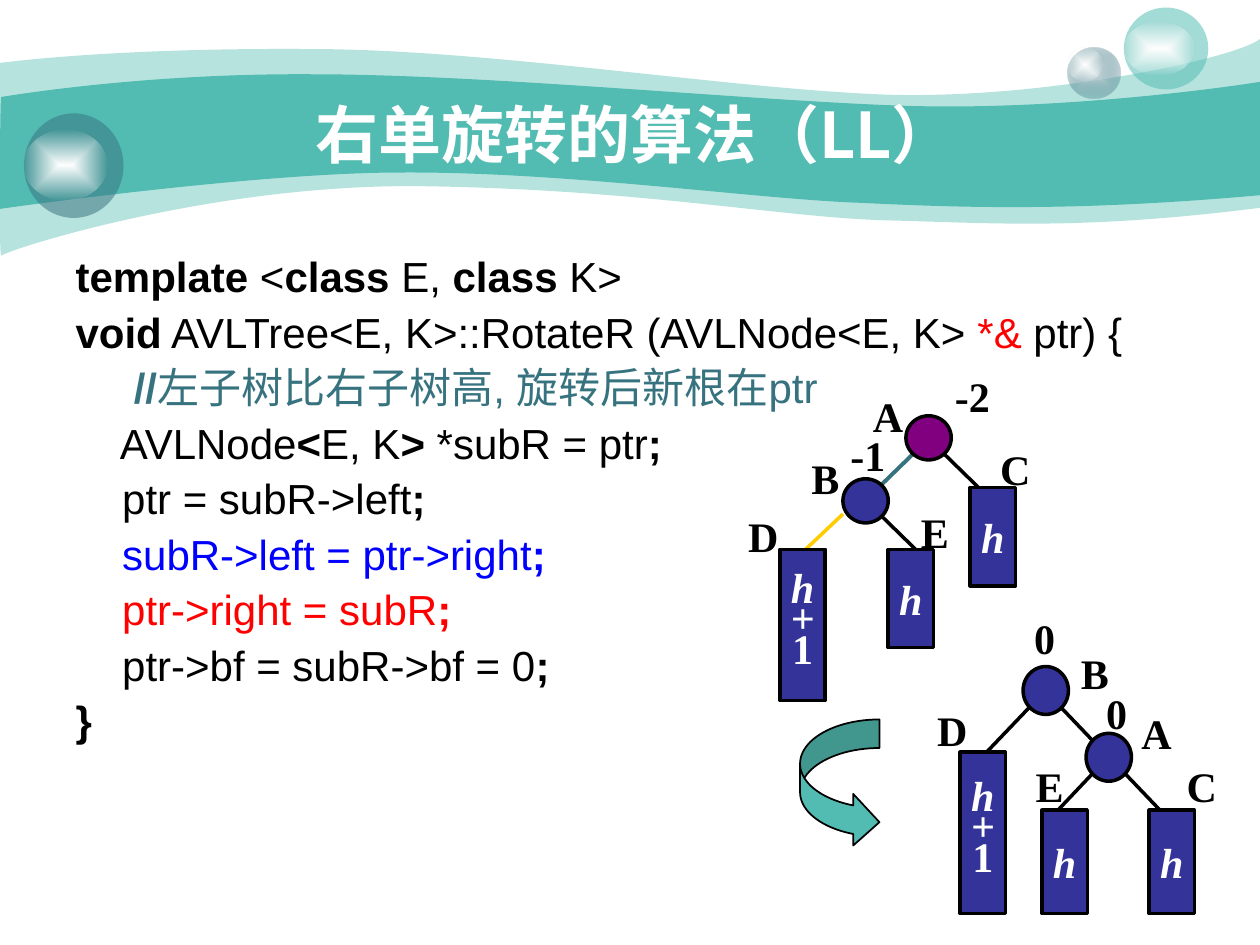
"""Builds the slide on the right single rotation (LL) of an AVL tree."""
from lxml import etree
from pptx import Presentation
from pptx.dml.color import RGBColor
from pptx.enum.shapes import MSO_CONNECTOR, MSO_SHAPE
from pptx.enum.text import MSO_ANCHOR, MSO_AUTO_SIZE, PP_ALIGN
from pptx.oxml import parse_xml
from pptx.oxml.ns import qn
from pptx.util import Cm, Pt

NS = 'xmlns:a="http://schemas.openxmlformats.org/drawingml/2006/main"'
OVAL, RECT, ARROW = MSO_SHAPE.OVAL, MSO_SHAPE.RECTANGLE, MSO_SHAPE.CURVED_RIGHT_ARROW
STRAIGHT = MSO_CONNECTOR.STRAIGHT
CENTER, MIDDLE = PP_ALIGN.CENTER, MSO_ANCHOR.MIDDLE
NO_FIT, GROW = MSO_AUTO_SIZE.NONE, MSO_AUTO_SIZE.SHAPE_TO_FIT_TEXT
SANS, SERIF, CJK = "Arial", "Times New Roman", "Noto Sans CJK SC"
BLACK, WHITE, RED, BLUE = "000000", "FFFFFF", "FF0000", "0000FF"
TEAL, SLATE, NAVY, PURPLE, GOLD = "52BCB2", "37737F", "333399", "800080", "FFCC00"

TITLE = "右单旋转的算法（LL）"
CODE = [
    [("template", BLACK, True), (" <", BLACK, False), ("class", BLACK, True),
     (" E, ", BLACK, False), ("class", BLACK, True), (" K>", BLACK, False)],
    [("void", BLACK, True), (" AVLTree<E, K>::RotateR (AVLNode<E, K> ", BLACK, False),
     ("*&", RED, False), (" ptr) {", BLACK, False)],
    [("     //", SLATE, True), ("左子树比右子树高, 旋转后新根在ptr", SLATE, False)],
    [("    AVLNode", BLACK, False), ("<", BLACK, True), ("E, K", BLACK, False),
     (">", BLACK, True), (" *subR = ptr", BLACK, False), (";", BLACK, True)],
    [("    ptr = subR->left", BLACK, False), (";", BLACK, True)],
    [("    subR->left = ptr->right", BLUE, False), (";", BLUE, True)],
    [("    ptr->right = subR", RED, False), (";", RED, True)],
    [("    ptr->bf = subR->bf = 0", BLACK, False), (";", BLACK, True)],
    [("}", BLACK, True)],
]

WAVES = [
    (41, (0, 0.5), [
        (0.24, 0.47, 1.07, 0.38, 2.47, 0.39), (3.86, 0.39, 5.75, 0.7, 6.99, 0.75),
        (8.22, 0.8, 9.8, 0.47, 10, 0.31), (10, 1.65),
        (8.58, 1.83, 7.87, 1.77, 7.05, 1.75), (6.22, 1.73, 5.15, 1.51, 3.43, 1.48),
        (1.72, 1.44, 0.04, 1.99, 0.01, 2.03), (-0.01, 2.08, 0, 0.75, 0, 0.5)]),
    (100, (0.01, 0.77), [
        (0.02, 0.77, 1.1, 0.58, 2.48, 0.59), (3.86, 0.59, 5.95, 0.8, 7.18, 0.84),
        (8.41, 0.88, 9.76, 0.69, 10, 0.65), (10, 1.55),
        (8.53, 1.68, 7.65, 1.65, 6.82, 1.61), (5.99, 1.58, 4.47, 1.36, 3.17, 1.37),
        (2.03, 1.37, -0.02, 1.66, -0.01, 1.66), (0, 1.66, 0, 0.77, 0.01, 0.77)]),
]
GLOW = [(WHITE, 100), (WHITE, 0)]
BUBBLES = [
    ((8.47, 0.38, 0.42, 0.4), [("CCDBDE", 100), (SLATE, 31)]),
    ((8.47, 0.38, 0.28, 0.27), GLOW),
    ((8.92, 0.06, 0.67, 0.65), [(TEAL, 53)]),
    ((8.92, 0.17, 0.56, 0.43), GLOW),
    ((0.19, 0.9, 0.79, 0.83), [(SLATE, 53)]),
    ((0.19, 1.03, 0.66, 0.56), GLOW),
]

SIDE = 0.36
TREES = [
    dict(node_h=0.35, block_h={"h": 0.78, "h\n+\n1": 1.2},
         labels=[("B", 6.34, 3.54), ("A", 6.83, 3.05), ("C", 7.84, 3.47), ("E", 7.21, 3.97),
                 ("D", 5.84, 4), ("-1", 6.65, 3.36), ("-2", 7.48, 2.89)],
         edges=[(7.48, 3.59, 7.91, 4.01, BLACK, 2), (6.69, 4.08, 6.32, 4.43, GOLD, 2),
                (7.26, 3.59, 6.9, 3.94, SLATE, 2.25), (6.98, 4.08, 7.41, 4.5, BLACK, 2)],
         nodes=[(6.69, 3.8, NAVY), (7.19, 3.3, PURPLE)],
         blocks=[("h", 7.7, 3.87), ("h\n+\n1", 6.19, 4.36), ("h", 7.05, 4.36)]),
    dict(node_h=0.38, block_h={"h": 0.82, "h\n+\n1": 1.28},
         labels=[("C", 9.32, 5.99), ("E", 8.12, 5.99), ("A", 8.96, 5.57), ("B", 8.48, 5.09),
                 ("D", 7.34, 5.54), ("0", 8.68, 5.41), ("0", 8.11, 4.81)],
         edges=[(8.33, 5.52, 8.76, 5.97, BLACK, 2), (8.26, 5.52, 7.83, 5.97, BLACK, 2),
                (8.69, 6.12, 8.33, 6.5, BLACK, 2), (8.91, 6.12, 9.34, 6.57, BLACK, 2)],
         nodes=[(8.62, 5.82, NAVY), (8.12, 5.29, NAVY)],
         blocks=[("h", 8.27, 6.43), ("h", 9.12, 6.43), ("h\n+\n1", 7.62, 5.97)]),
]
LABEL_W = {"A": 0.44, "B": 0.42, "C": 0.44, "D": 0.44, "E": 0.42, "0": 0.36, "-1": 0.48, "-2": 0.48}


def inch(*values):
    return [Cm(v * 2.54) for v in values]


def rgb(value):
    return RGBColor.from_string(value)


def set_font(r, name, size, color, bold=True, italic=False):
    r.font.name, r.font.size = name, Pt(size)
    r.font.bold, r.font.italic = bold, italic
    r.font.color.rgb = rgb(color)
    etree.SubElement(r.font._element, qn("a:ea")).set("typeface", CJK)


def set_fill(sp, stops):
    """Fill a shape with one colour or a gradient from its centre; stops are (colour, opacity)."""
    colors = [f'<a:srgbClr val="{c}"><a:alpha val="{a * 1000}"/></a:srgbClr>' for c, a in stops]
    if len(stops) == 1:
        xml = f"<a:solidFill {NS}>{colors[0]}</a:solidFill>"
    else:
        marks = "".join(f'<a:gs pos="{i * 100000}">{c}</a:gs>' for i, c in enumerate(colors))
        xml = (f'<a:gradFill {NS}><a:gsLst>{marks}</a:gsLst><a:path path="rect">'
               '<a:fillToRect l="50000" t="50000" r="50000" b="50000"/></a:path></a:gradFill>')
    sp.shadow.inherit = False
    sp.line.fill.background()
    sp.element.spPr.find(qn("a:ln")).addprevious(parse_xml(xml))


def add_wave(s, opacity, start, segments):
    """Draw the outline through all points, then join each three of a curve into one Bezier."""
    fb = s.shapes.build_freeform(*inch(*start))
    fb.add_line_segments([inch(*seg[i:i + 2]) for seg in segments for i in range(0, len(seg), 2)])
    sp = fb.convert_to_shape()
    lines = iter(list(sp.element.iter(qn("a:lnTo"))))
    for seg in segments:
        group = [next(lines) for _ in range(len(seg) // 2)]
        if len(group) == 3:
            curve = etree.Element(qn("a:cubicBezTo"))
            group[0].addprevious(curve)
            for line in group:
                curve.append(line[0])
                line.getparent().remove(line)
    set_fill(sp, [(TEAL, opacity)])


def add_solid(s, kind, box, color, width=2):
    sp = s.shapes.add_shape(kind, *inch(*box))
    sp.shadow.inherit = False
    sp.fill.solid()
    sp.fill.fore_color.rgb = rgb(color)
    sp.line.color.rgb, sp.line.width = rgb(BLACK), Pt(width)
    return sp


def add_block(s, text, box):
    tf = add_solid(s, RECT, box, NAVY).text_frame
    tf.text = text
    tf.word_wrap, tf.vertical_anchor = False, MIDDLE
    for p in tf.paragraphs:
        p.alignment = CENTER
        if len(tf.paragraphs) > 1:
            p.line_spacing = 0.6
        set_font(p.runs[0], SERIF, 24, WHITE, italic=p.text != "1")


def add_label(s, text, x, y):
    tf = s.shapes.add_textbox(*inch(x, y, LABEL_W[text], 0.5)).text_frame
    tf.text = text
    tf.word_wrap, tf.auto_size = False, GROW
    set_font(tf.paragraphs[0].runs[0], SERIF, 24, BLACK)


def add_edge(s, x1, y1, x2, y2, color, width):
    line = s.shapes.add_connector(STRAIGHT, *inch(x1, y1, x2, y2))
    line.line.color.rgb, line.line.width = rgb(color), Pt(width)
    etree.SubElement(line.element.spPr, qn("a:effectLst"))


def add_tree(s, tree):
    for label in tree["labels"]:
        add_label(s, *label)
    for edge in tree["edges"]:
        add_edge(s, *edge)
    for x, y, color in tree["nodes"]:
        add_solid(s, OVAL, (x, y, SIDE, tree["node_h"]), color)
    for text, x, y in tree["blocks"]:
        add_block(s, text, (x, y, SIDE, tree["block_h"][text]))


def place(s, sp, box):
    sp.left, sp.top, sp.width, sp.height = inch(*box)
    sp.text_frame.auto_size = NO_FIT
    s.shapes.element.append(sp.element)
    return sp.text_frame


def fill_code(tf):
    for i, parts in enumerate(CODE):
        p = tf.paragraphs[0] if i == 0 else tf.add_paragraph()
        p.line_spacing, p.space_before = 1.05, Pt(1.5 if i else 0)
        pPr = p._p.get_or_add_pPr()
        pPr.set("marL", str(Cm(0.96)))
        pPr.set("indent", str(-Cm(0.96)))
        etree.SubElement(pPr, qn("a:buNone"))
        for text, color, bold in parts:
            r = p.add_run()
            r.text = text
            set_font(r, SANS, 24, color, bold)


def main():
    prs = Presentation()
    prs.slide_width, prs.slide_height = inch(10, 7.5)
    s = prs.slides.add_slide(prs.slide_layouts[1])
    for wave in WAVES:
        add_wave(s, *wave)
    for box, stops in BUBBLES:
        set_fill(s.shapes.add_shape(OVAL, *inch(*box)), stops)
    fill_code(place(s, s.placeholders[1], (0.5, 1.92, 9.16, 4.17)))
    tf = place(s, s.shapes.title, (1, 0.75, 8.08, 0.62))
    tf.text, tf.vertical_anchor = TITLE, MIDDLE
    tf.paragraphs[0].alignment = CENTER
    set_font(tf.paragraphs[0].runs[0], CJK, 36, WHITE)
    for tree in TREES:
        add_tree(s, tree)
    arrow = add_solid(s, ARROW, (6.35, 5.71, 0.63, 1.02), TEAL, 1)
    for i, value in enumerate((0.36, 0.65, 0.33)):
        arrow.adjustments[i] = value
    prs.save("out.pptx")


if __name__ == "__main__":
    main()
